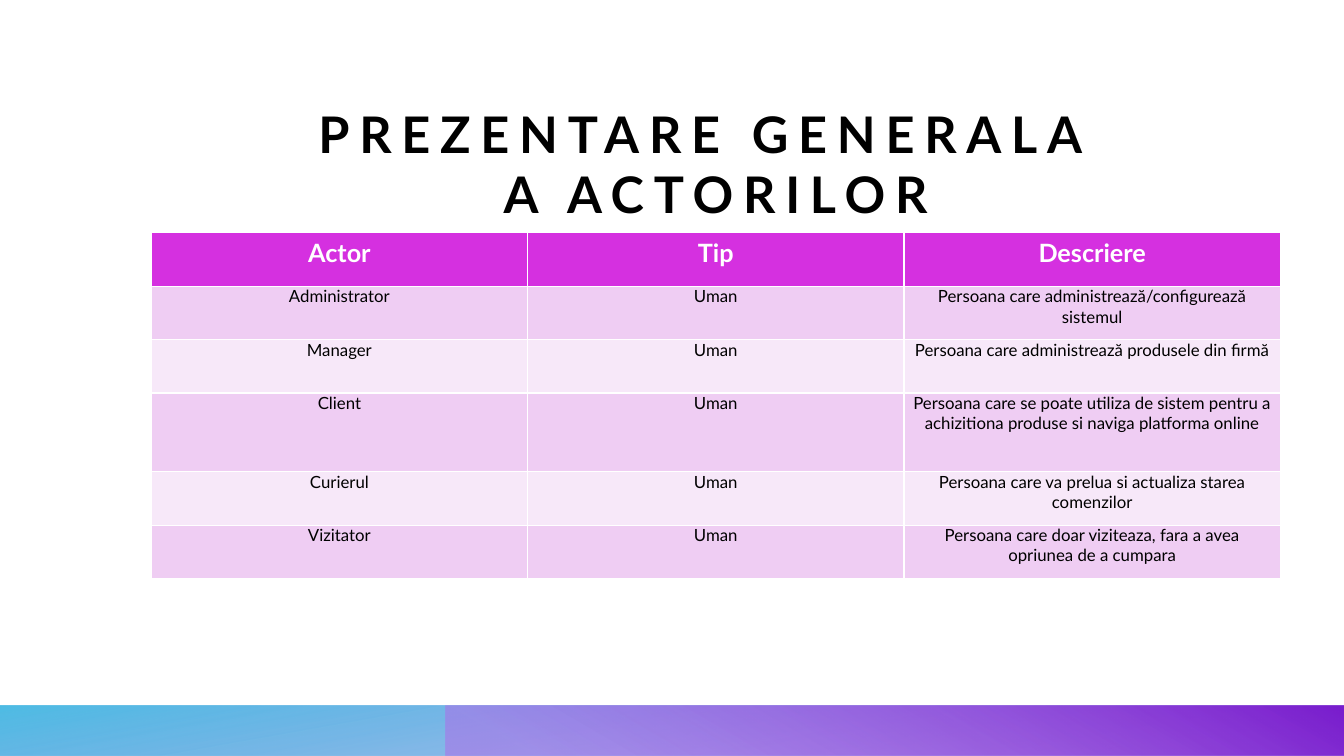
from pptx import Presentation
from pptx.dml.color import RGBColor
from pptx.enum.shapes import MSO_SHAPE
from pptx.enum.text import MSO_ANCHOR, MSO_AUTO_SIZE, PP_ALIGN
from pptx.oxml.ns import qn
from pptx.util import Inches, Pt
from lxml.etree import SubElement

FONT = "Lato"
BLACK = RGBColor(0x00, 0x00, 0x00)
WHITE = RGBColor(0xFF, 0xFF, 0xFF)
HEADER = RGBColor(0xD5, 0x30, 0xE0)
BANDS = (RGBColor(0xF7, 0xE8, 0xF9), RGBColor(0xEF, 0xCD, 0xF3))
BLUE = RGBColor(0x1E, 0x55, 0xCE)
SKY = RGBColor(0x30, 0xB1, 0xE0)
LILAC = RGBColor(0xB0, 0x6F, 0xEA)
VIOLET = RGBColor(0x7A, 0x1E, 0xCE)

WIDTH, HEIGHT = Inches(13.33), Inches(7.5)
BAR_HEIGHT = HEIGHT // 15
LEFT, CONTENT_WIDTH = Inches(1.5), Inches(11.2)
ROW_HEIGHTS = (0.53, 0.53, 0.53, 0.78, 0.53, 0.53)

ACTORS = (
    ("Actor", "Tip", "Descriere"),
    ("Administrator", "Uman", "Persoana care administrează/configurează sistemul"),
    ("Manager", "Uman", "Persoana care administrează produsele din firmă"),
    ("Client", "Uman", "Persoana care se poate utiliza de sistem pentru a "
                       "achizitiona produse si naviga platforma online"),
    ("Curierul", "Uman", "Persoana care va prelua si actualiza starea comenzilor"),
    ("Vizitator", "Uman", "Persoana care doar viziteaza, fara a avea opriunea de a cumpara"),
)


def format_text(p, size, color, bold):
    p.alignment = PP_ALIGN.CENTER
    for r in p.runs:
        r.font.name, r.font.size, r.font.bold = FONT, Pt(size), bold
        r.font.color.rgb = color


def add_title(s, text):
    title = s.shapes.title
    title.left, title.top = LEFT, Inches(0.87)
    title.width, title.height = CONTENT_WIDTH, Inches(1.35)
    tf = title.text_frame
    tf.auto_size, tf.word_wrap = MSO_AUTO_SIZE.NONE, True
    tf.vertical_anchor = MSO_ANCHOR.BOTTOM
    tf.margin_left = tf.margin_right = tf.margin_top = tf.margin_bottom = 0
    tf.text = text
    p = tf.paragraphs[0]
    format_text(p, 36, BLACK, True)
    for r in p.runs:
        r.font._element.set("spc", "700")


def add_gradient_bar(s, left, angle, stops, rotation=0):
    """Add a mirrored bottom bar; stops are (position, colour, opacity in percent)."""
    bar = s.shapes.add_shape(MSO_SHAPE.RECTANGLE, left, HEIGHT - BAR_HEIGHT,
                             WIDTH - left, BAR_HEIGHT)
    bar.shadow.inherit = False
    bar.line.fill.background()
    bar.rotation = rotation
    bar._element.spPr.find(qn("a:xfrm")).set("flipH", "1")
    bar.fill.gradient()
    bar.fill.gradient_angle = 360 - angle
    for stop, (position, color, _) in zip(bar.fill.gradient_stops, stops):
        stop.position = position
        stop.color.rgb = color
    for clr, (_, _, opacity) in zip(bar._element.spPr.iter(qn("a:srgbClr")), stops):
        SubElement(clr, qn("a:alpha")).set("val", str(opacity * 1000))


def fill_cell(cell, text, row):
    cell.text = text
    cell.fill.solid()
    p = cell.text_frame.paragraphs[0]
    if row == 0:
        cell.fill.fore_color.rgb = HEADER
        format_text(p, 18, WHITE, True)
    else:
        cell.fill.fore_color.rgb = BANDS[row % 2]
        cell.margin_left = cell.margin_right = Inches(0.07)
        cell.margin_top = cell.margin_bottom = 0
        format_text(p, 12, BLACK, False)


def add_actor_table(s):
    table = s.shapes.add_table(len(ACTORS), len(ACTORS[0]), LEFT, Inches(2.31),
                               CONTENT_WIDTH, Inches(sum(ROW_HEIGHTS))).table
    for row, (height, texts) in enumerate(zip(ROW_HEIGHTS, ACTORS)):
        table.rows[row].height = Inches(height)
        for col, text in enumerate(texts):
            fill_cell(table.cell(row, col), text, row)


def main():
    prs = Presentation()
    prs.slide_width, prs.slide_height = WIDTH, HEIGHT
    s = prs.slides.add_slide(prs.slide_layouts[5])
    add_gradient_bar(s, 0, 100, ((0.14, BLUE, 28), (1, SKY, 85)), rotation=180)
    add_gradient_bar(s, Inches(4.42), 240, ((0.09, LILAC, 55), (0.99, VIOLET, 100)))
    add_title(s, "PREZENTARE GENERALA \vA ACTORILOR")
    add_actor_table(s)
    prs.save("out.pptx")


if __name__ == "__main__":
    main()
